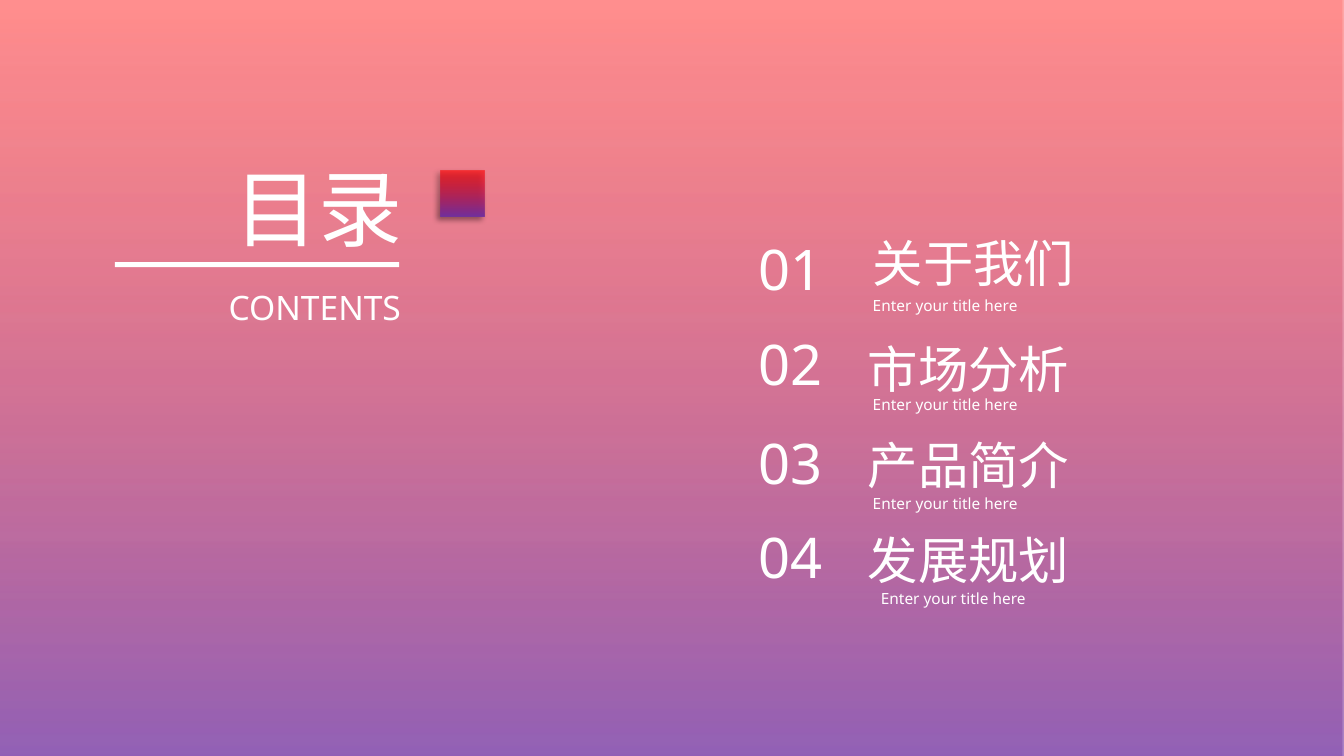
from lxml.etree import SubElement
from pptx import Presentation
from pptx.dml.color import RGBColor
from pptx.enum.shapes import MSO_SHAPE as Shape
from pptx.enum.text import MSO_AUTO_SIZE as AutoSize
from pptx.oxml.ns import qn
from pptx.util import Pt

COLORS = {"white": "FFFFFF", "red": "FF0000", "purple": "7030A0", "shadow": "000000"}
FONT = "Noto Sans"

# number top, title, title left and top, caption left and top
ENTRIES = [
    (164.2, "关于我们", 616.3, 162, 616.3, 208.1),
    (231.8, "市场分析", 612.7, 237.6, 616.3, 278.6),
    (302.4, "产品简介", 612.7, 306.7, 616.3, 349.2),
    (369.4, "发展规划", 612.7, 374.4, 622.1, 417.6),
]


class ContentsPage:
    def __init__(self, deck):
        self.page = deck.slides.add_slide(deck.slide_layouts[6])

    def rectangle(self, left, top, width, height):
        box = self.page.shapes.add_shape(
            Shape.RECTANGLE, Pt(left), Pt(top), Pt(width), Pt(height))
        box.shadow.inherit = False
        box.line.fill.background()
        return box

    def bar(self, left, top, width, height):
        box = self.rectangle(left, top, width, height)
        box.fill.solid()
        box.fill.fore_color.rgb = RGBColor.from_string(COLORS["white"])

    def gradient(self, left, top, width, height, opacities):
        """Add a rectangle fading from red at the top to purple at the bottom."""
        box = self.rectangle(left, top, width, height)
        box.fill.gradient()
        box.fill.gradient_angle = 270
        stops = zip(box.fill.gradient_stops, ("red", "purple"), (0.01, 1), opacities)
        for stop, color, position, opacity in stops:
            stop.color.rgb = RGBColor.from_string(COLORS[color])
            stop.position = position
        for color, opacity in zip(box.fill._xPr.iter(qn("a:srgbClr")), opacities):
            SubElement(color, qn("a:alpha"), val=str(opacity * 1000))
        return box

    def cast_shadow(self, box, blur, distance, angle, opacity):
        effects = box._element.spPr.find(qn("a:effectLst"))
        shadow = SubElement(
            effects, qn("a:outerShdw"), blurRad=str(Pt(blur)), dist=str(Pt(distance)),
            dir=str(angle * 60000), algn="tr", rotWithShape="0")
        color = SubElement(shadow, qn("a:srgbClr"), val=COLORS["shadow"])
        SubElement(color, qn("a:alpha"), val=str(opacity * 1000))

    def text(self, words, left, top, width, height, size):
        box = self.page.shapes.add_textbox(Pt(left), Pt(top), Pt(width), Pt(height))
        frame = box.text_frame
        frame.word_wrap = False
        frame.auto_size = AutoSize.SHAPE_TO_FIT_TEXT
        para = frame.paragraphs[0]
        para.text = words
        para.font.name = FONT
        para.font.size = Pt(size)
        para.font.color.rgb = RGBColor.from_string(COLORS["white"])


def main():
    deck = Presentation()
    deck.slide_width, deck.slide_height = Pt(960), Pt(540)
    contents = ContentsPage(deck)

    contents.gradient(-2.9, -1.4, 962.6, 541.4, (44, 76))
    contents.text("目录", 160.6, 108, 135.4, 79.9, 60)
    contents.text("CONTENTS", 156.2, 201.6, 141.1, 36, 24)
    contents.bar(82.1, 187.2, 203, 3.6)
    accent = contents.gradient(314.6, 121.7, 31.7, 33.1, (62, 100))
    contents.cast_shadow(accent, blur=4, distance=3, angle=135, opacity=40)

    for index, entry in enumerate(ENTRIES, start=1):
        number_top, title, title_left, title_top, caption_left, caption_top = entry
        contents.text(f"{index:02}", 535, number_top, 60.5, 55.4, 40)
        contents.text(title, title_left, title_top, 159.8, 51.1, 36)
        contents.text("Enter your title here", caption_left, caption_top, 121, 20.9, 11)

    deck.save("out.pptx")


if __name__ == "__main__":
    main()
